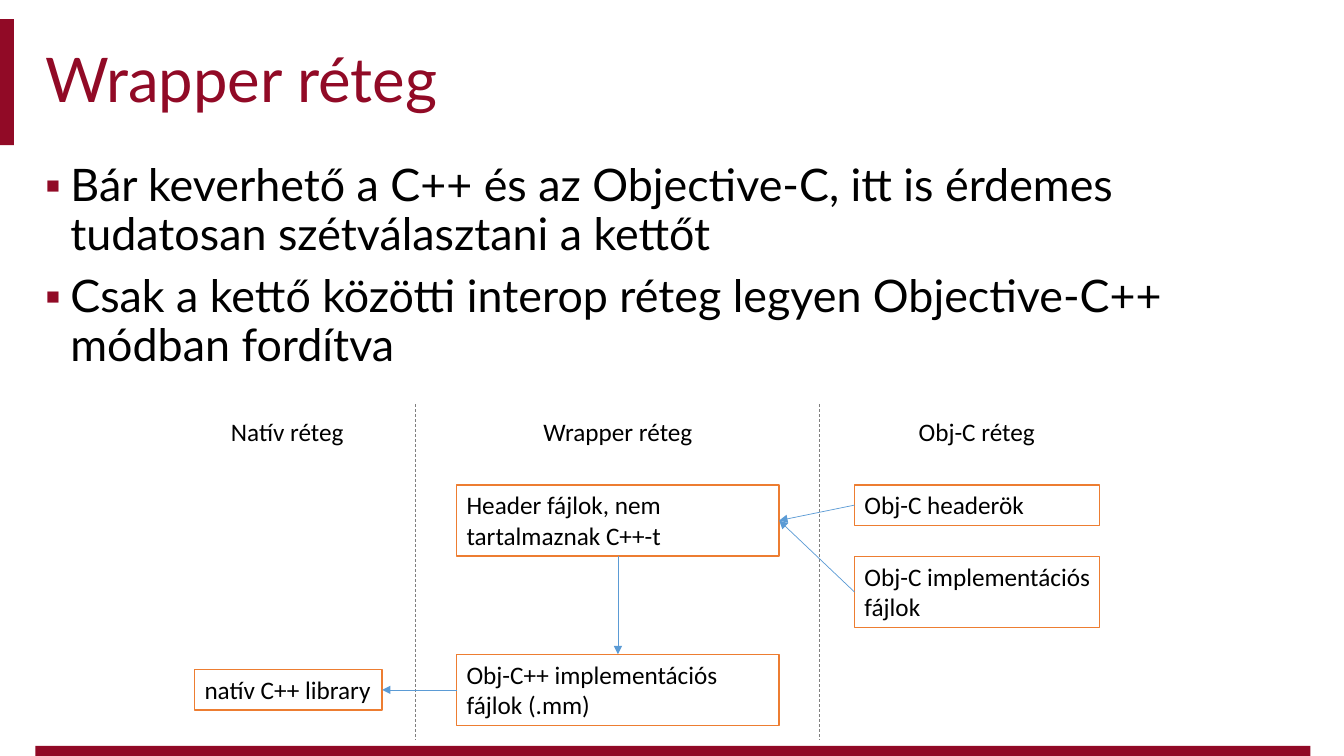
from dataclasses import dataclass
from typing import Optional

from lxml import etree
from pptx import Presentation
from pptx.dml.color import RGBColor
from pptx.enum import dml, shapes, text
from pptx.oxml import ns
from pptx.util import Pt

COLOURS = {
    "crimson": "910A26",
    "black": "000000",
    "white": "FFFFFF",
    "orange": "ED7D31",
    "blue": "5B9BD5",
    "grey": "7F7F7F",
}
TOP, LEFT, BOTTOM, RIGHT = range(4)  # connection sites of a rectangle
MARGIN = 25.2
CONTENT_WIDTH = 910.8


@dataclass(frozen=True)
class Area:
    left: float
    top: float
    width: float
    height: float

    def lengths(self) -> tuple:
        return Pt(self.left), Pt(self.top), Pt(self.width), Pt(self.height)


@dataclass(frozen=True)
class Node:
    name: str
    label: str
    area: Area


@dataclass(frozen=True)
class Arrow:
    source: str
    source_site: int
    target: str
    target_site: int


@dataclass(frozen=True)
class Layer:
    label: str
    centre: float


BARS = [Area(MARGIN, 532.8, CONTENT_WIDTH, 7.2), Area(0, 13.7, 10, 90)]
TITLE = "Wrapper réteg"
BULLETS = [
    "Bár keverhető a C++ és az Objective-C, itt is érdemes tudatosan szétválasztani a kettőt",
    "Csak a kettő közötti interop réteg legyen Objective-C++ módban fordítva",
]
LAYERS = [Layer("Natív réteg", 205.2), Layer("Wrapper réteg", 441.4), Layer("Obj-C réteg", 697.7)]
DIVIDERS = [296.8, 585.2]
NODES = [
    Node("library", "natív C++ library", Area(139, 478.3, 134, 29)),
    Node("wrapper", "Obj-C++ implementációs fájlok (.mm)", Area(326.2, 467.3, 230.4, 51)),
    Node("header", "Header fájlok, nem tartalmaznak C++-t", Area(326.2, 346.3, 230.4, 51)),
    Node("objc", "Obj-C implementációs fájlok", Area(610.4, 397.4, 175, 51)),
    Node("objc_header", "Obj-C headerök", Area(610.4, 346.3, 175, 29)),
]
ARROWS = [
    Arrow("objc_header", LEFT, "header", RIGHT),
    Arrow("objc", LEFT, "header", RIGHT),
    Arrow("header", BOTTOM, "wrapper", TOP),
    Arrow("wrapper", LEFT, "library", RIGHT),
]


def colour(name: str) -> RGBColor:
    return RGBColor.from_string(COLOURS[name])


def add_span(para, words: str, size: float, font: str, tint: str = "black") -> None:
    span = para.add_run()
    span.text = words
    span.font.size = Pt(size)
    span.font.name = font
    span.font.color.rgb = colour(tint)


def add_rectangle(page, area: Area, fill: str, line: Optional[str] = None):
    box = page.shapes.add_shape(shapes.MSO_SHAPE.RECTANGLE, *area.lengths())
    box.shadow.inherit = False
    box.fill.solid()
    box.fill.fore_color.rgb = colour(fill)
    if line:
        box.line.color.rgb = colour(line)
        box.line.width = Pt(1)
    else:
        box.line.fill.background()
    return box


def add_text_frame(page, area: Area):
    frame = page.shapes.add_textbox(*area.lengths()).text_frame
    frame.word_wrap = True
    return frame


def add_title(page) -> None:
    frame = add_text_frame(page, Area(MARGIN, 13.7, CONTENT_WIDTH, 90))
    frame.vertical_anchor = text.MSO_ANCHOR.MIDDLE
    para = frame.paragraphs[0]
    para.line_spacing = 0.9
    add_span(para, TITLE, 44, "Lato", "crimson")


def set_bullet(para) -> None:
    properties = para._p.get_or_add_pPr()
    properties.set("marL", str(Pt(18)))
    properties.set("indent", str(Pt(-18)))
    tint = etree.SubElement(properties, ns.qn("a:buClr"))
    etree.SubElement(tint, ns.qn("a:srgbClr"), val=COLOURS["crimson"])
    etree.SubElement(properties, ns.qn("a:buFont"), typeface="Arial")
    etree.SubElement(properties, ns.qn("a:buChar"), char="▪")


def add_bullets(page) -> None:
    frame = add_text_frame(page, Area(MARGIN, 113, CONTENT_WIDTH, 404.6))
    for index, words in enumerate(BULLETS):
        para = frame.add_paragraph() if index else frame.paragraphs[0]
        set_bullet(para)
        para.line_spacing = 0.9
        para.space_before = Pt(10 if index else 0)
        add_span(para, words, 32, "Lato")


def add_layer(page, layer: Layer) -> None:
    width = 125.4
    frame = add_text_frame(page, Area(layer.centre - width / 2, 293.8, width, 29))
    para = frame.paragraphs[0]
    para.alignment = text.PP_ALIGN.CENTER
    add_span(para, layer.label, 18, "Calibri")


def add_node(page, node: Node):
    box = add_rectangle(page, node.area, "white", "orange")
    frame = box.text_frame
    frame.word_wrap = True
    frame.margin_right = Pt(5)
    frame.vertical_anchor = text.MSO_ANCHOR.TOP
    para = frame.paragraphs[0]
    para.alignment = text.PP_ALIGN.LEFT
    add_span(para, node.label, 18, "Calibri")
    return box


def add_line(page, tint: str, x: float = 0, top: float = 0, bottom: float = 0):
    line = page.shapes.add_connector(
        shapes.MSO_CONNECTOR.STRAIGHT, Pt(x), Pt(top), Pt(x), Pt(bottom)
    )
    line.line.color.rgb = colour(tint)
    line.line.width = Pt(0.5)
    etree.SubElement(line._element.spPr, ns.qn("a:effectLst"))
    return line


def add_arrow(page, arrow: Arrow, boxes: dict) -> None:
    line = add_line(page, "blue")
    line.begin_connect(boxes[arrow.source], arrow.source_site)
    line.end_connect(boxes[arrow.target], arrow.target_site)
    etree.SubElement(line.line._get_or_add_ln(), ns.qn("a:tailEnd"), type="triangle")


def main() -> None:
    deck = Presentation()
    deck.slide_width, deck.slide_height = Pt(960), Pt(540)
    page = deck.slides.add_slide(deck.slide_layouts[6])
    for bar in BARS:
        add_rectangle(page, bar, "crimson")
    add_title(page)
    add_bullets(page)
    boxes = {node.name: add_node(page, node) for node in NODES}
    for x in DIVIDERS:
        add_line(page, "grey", x, 288.7, 528.5).line.dash_style = dml.MSO_LINE.DASH
    for arrow in ARROWS:
        add_arrow(page, arrow, boxes)
    for layer in LAYERS:
        add_layer(page, layer)
    deck.save("out.pptx")


if __name__ == "__main__":
    main()
